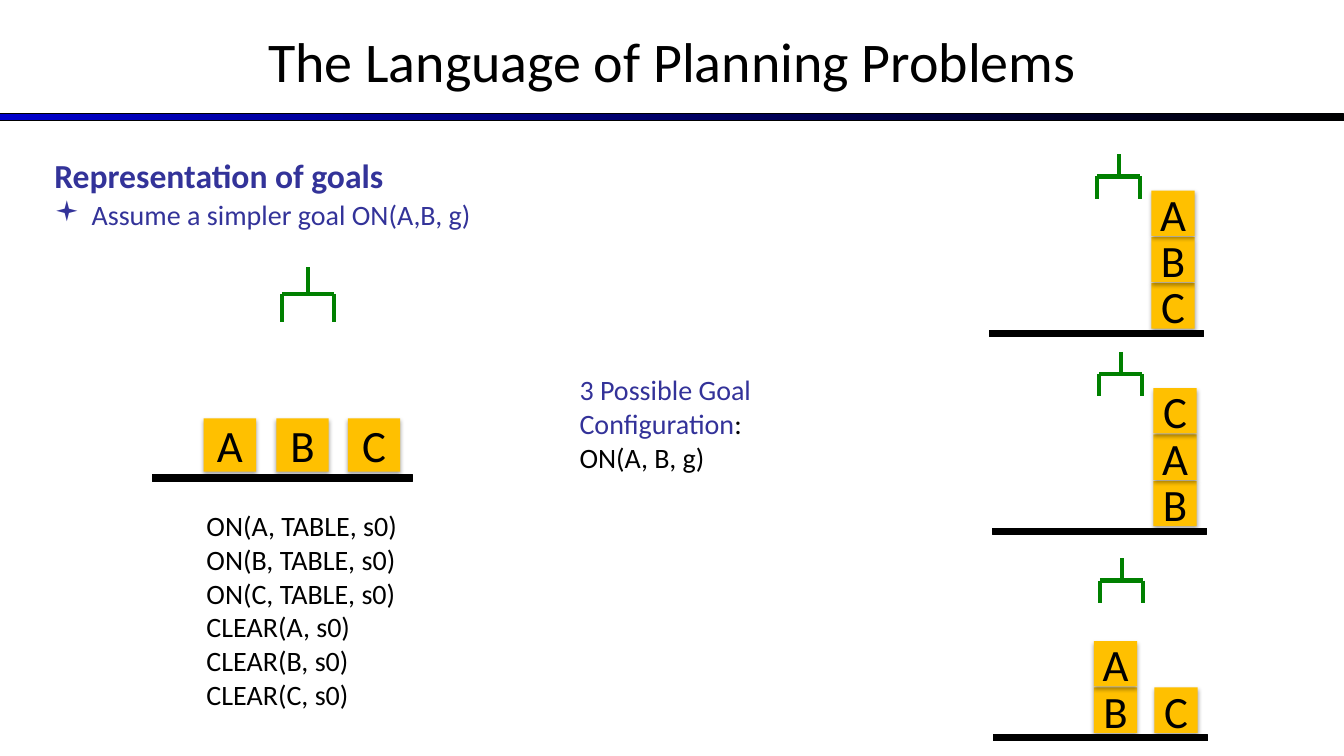
"""Build a slide on goal representation in a blocks world."""
from dataclasses import dataclass

from lxml import etree
from pptx import Presentation
from pptx.dml.color import RGBColor
from pptx.enum.shapes import MSO_CONNECTOR, MSO_SHAPE
from pptx.enum.text import MSO_ANCHOR, MSO_AUTO_SIZE, PP_ALIGN
from pptx.oxml.ns import qn
from pptx.util import Inches, Pt

RECTANGLE = MSO_SHAPE.RECTANGLE
STRAIGHT = MSO_CONNECTOR.STRAIGHT
MIDDLE = MSO_ANCHOR.MIDDLE
TOP = MSO_ANCHOR.TOP
CENTER = PP_ALIGN.CENTER
NO_AUTO_SIZE = MSO_AUTO_SIZE.NONE

FONT = "Calibri"
BLACK = "000000"
INDIGO = "333399"
AMBER = "FFC000"
GREEN = "008000"


@dataclass(frozen=True)
class Scale:
    table_width: float
    table_height: float
    block_width: float
    block_height: float
    block_rise: float
    stack_step: float
    grip_width: float
    grip_drop: float


@dataclass(frozen=True)
class Stack:
    left: float
    letters: str


@dataclass(frozen=True)
class Scene:
    table_left: float
    table_top: float
    stacks: tuple[Stack, ...]
    grip_left: float
    grip_top: float
    scale: Scale


LARGE = Scale(2.58, 0.07, 0.52, 0.53, 0.56, 0.53, 0.51, 0.27)
SMALL = Scale(2.13, 0.06, 0.43, 0.45, 0.47, 0.46, 0.43, 0.22)

SCENES = (
    Scene(9.81, 3.28, (Stack(11.42, "ABC"),), 10.88, 1.53, SMALL),
    Scene(1.51, 4.71, (Stack(2.02, "A"), Stack(2.74, "B"), Stack(3.45, "C")),
          2.8, 2.65, LARGE),
    Scene(9.84, 5.24, (Stack(11.44, "CAB"),), 10.9, 3.49, SMALL),
    Scene(9.85, 7.29, (Stack(10.85, "AB"), Stack(11.45, "C")),
          10.91, 5.54, SMALL),
)

START_FACTS = (
    "ON(A, TABLE, s0)",
    "ON(B, TABLE, s0)",
    "ON(C, TABLE, s0)",
    "CLEAR(A, s0)",
    "CLEAR(B, s0)",
    "CLEAR(C, s0)",
)


def rgb(color: str) -> RGBColor:
    return RGBColor.from_string(color)


def add_span(para, text: str, size: float, color: str, bold: bool = False) -> None:
    span = para.add_run()
    span.text = text
    span.font.name = FONT
    span.font.size = Pt(size)
    span.font.bold = bold
    span.font.color.rgb = rgb(color)


def set_indent(para, margin: float, first_line: float = 0) -> None:
    properties = para._p.get_or_add_pPr()
    properties.set("marL", str(Inches(margin)))
    properties.set("indent", str(Inches(first_line)))


def add_square_bullet(para, color: str) -> None:
    properties = para._p.get_or_add_pPr()
    bullet_color = etree.SubElement(properties, qn("a:buClr"))
    etree.SubElement(bullet_color, qn("a:srgbClr"), val=color)
    etree.SubElement(properties, qn("a:buFont"), typeface="Wingdings")
    etree.SubElement(properties, qn("a:buChar"), char="▪")


def add_text_box(page, left: float, top: float, width: float, height: float):
    box = page.shapes.add_textbox(
        Inches(left), Inches(top), Inches(width), Inches(height))
    box.text_frame.word_wrap = True
    box.text_frame.vertical_anchor = TOP
    return box.text_frame


def add_bar(shapes, left: float, top: float, width: float, height: float):
    bar = shapes.add_shape(
        RECTANGLE, Inches(left), Inches(top), Inches(width), Inches(height))
    bar.shadow.inherit = False
    bar.fill.solid()
    bar.fill.fore_color.rgb = rgb(BLACK)
    bar.line.color.rgb = rgb(BLACK)
    bar.line.width = Pt(0.75)
    return bar


def add_block(shapes, letter: str, left: float, top: float, scale: Scale) -> None:
    block = add_bar(shapes, left, top, scale.block_width, scale.block_height)
    block.fill.fore_color.rgb = rgb(AMBER)
    block.line.fill.background()
    effects = block._element.spPr.find(qn("a:effectLst"))
    shadow = etree.SubElement(
        effects, qn("a:outerShdw"), blurRad=str(Pt(3.1)), dist=str(Pt(1.8)),
        dir="5400000", rotWithShape="0")
    shade = etree.SubElement(shadow, qn("a:srgbClr"), val=BLACK)
    etree.SubElement(shade, qn("a:alpha"), val="35000")
    frame = block.text_frame
    frame.word_wrap = False
    frame.vertical_anchor = MIDDLE
    para = frame.paragraphs[0]
    para.alignment = CENTER
    add_span(para, letter, 32, BLACK)


def add_gripper(shapes, left: float, top: float, scale: Scale) -> None:
    right = left + scale.grip_width
    middle = left + scale.grip_width / 2
    bar = top + scale.grip_drop
    bottom = bar + scale.grip_drop
    for x1, y1, x2, y2 in (
        (left, bar, right, bar),
        (left, bar, left, bottom),
        (middle, top, middle, bar),
        (right, bar, right, bottom),
    ):
        line = shapes.add_connector(
            STRAIGHT, Inches(x1), Inches(y1), Inches(x2), Inches(y2))
        line.line.color.rgb = rgb(GREEN)
        line.line.width = Pt(3)
        etree.SubElement(line._element.spPr, qn("a:effectLst"))


def add_scene(page, scene: Scene) -> None:
    shapes = page.shapes.add_group_shape().shapes
    scale = scene.scale
    add_bar(shapes, scene.table_left, scene.table_top,
            scale.table_width, scale.table_height)
    for stack in scene.stacks:
        for level, letter in enumerate(reversed(stack.letters)):
            top = scene.table_top - scale.block_rise - level * scale.stack_step
            add_block(shapes, letter, stack.left, top, scale)
    add_gripper(shapes, scene.grip_left, scene.grip_top, scale)


def add_heading(page) -> None:
    rule = add_bar(page.shapes, 0, 1.13, 13.33, 0.07)
    rule.fill.gradient()
    rule.fill.gradient_angle = 0
    for stop, position, color in zip(
            rule.fill.gradient_stops, (0, 1), ("0000CC", BLACK)):
        stop.position = position
        stop.color.rgb = rgb(color)
    title = page.shapes.title
    title.left, title.top = Inches(0), Inches(-0.03)
    title.width, title.height = Inches(13.33), Inches(1.25)
    frame = title.text_frame
    frame.auto_size = NO_AUTO_SIZE
    frame.vertical_anchor = MIDDLE
    frame.paragraphs[0].alignment = CENTER
    add_span(frame.paragraphs[0], "The Language of Planning Problems", 40, BLACK)


def add_texts(page) -> None:
    goals = add_text_box(page, 0.44, 1.53, 7.67, 5.17)
    para = goals.paragraphs[0]
    para.line_spacing = 0.9
    add_span(para, "Representation of goals", 24, INDIGO, bold=True)
    para = goals.add_paragraph()
    para.line_spacing = 0.9
    para.space_before = Pt(4)
    set_indent(para, 0.37, -0.37)
    add_square_bullet(para, INDIGO)
    add_span(para, "Assume a simpler goal ON(A,B, g)", 20, INDIGO)

    para = add_text_box(page, 5.15, 3.65, 3.03, 1.11).paragraphs[0]
    set_indent(para, 0.5)
    add_span(para, "3 Possible Goal Configuration", 20, "333299")
    add_span(para, ":", 20, BLACK)
    para.add_line_break()
    add_span(para, "ON(A, B, g)", 20, BLACK)

    facts = add_text_box(page, 1.36, 5, 3.66, 2.46)
    for index, fact in enumerate(START_FACTS):
        para = facts.add_paragraph() if index else facts.paragraphs[0]
        set_indent(para, 0.59)
        add_span(para, fact, 20, BLACK)


def main() -> None:
    deck = Presentation()
    deck.slide_width, deck.slide_height = Inches(13.33), Inches(7.5)
    page = deck.slides.add_slide(deck.slide_layouts[5])
    add_heading(page)
    add_texts(page)
    for scene in SCENES:
        add_scene(page, scene)
    deck.save("out.pptx")


if __name__ == "__main__":
    main()
